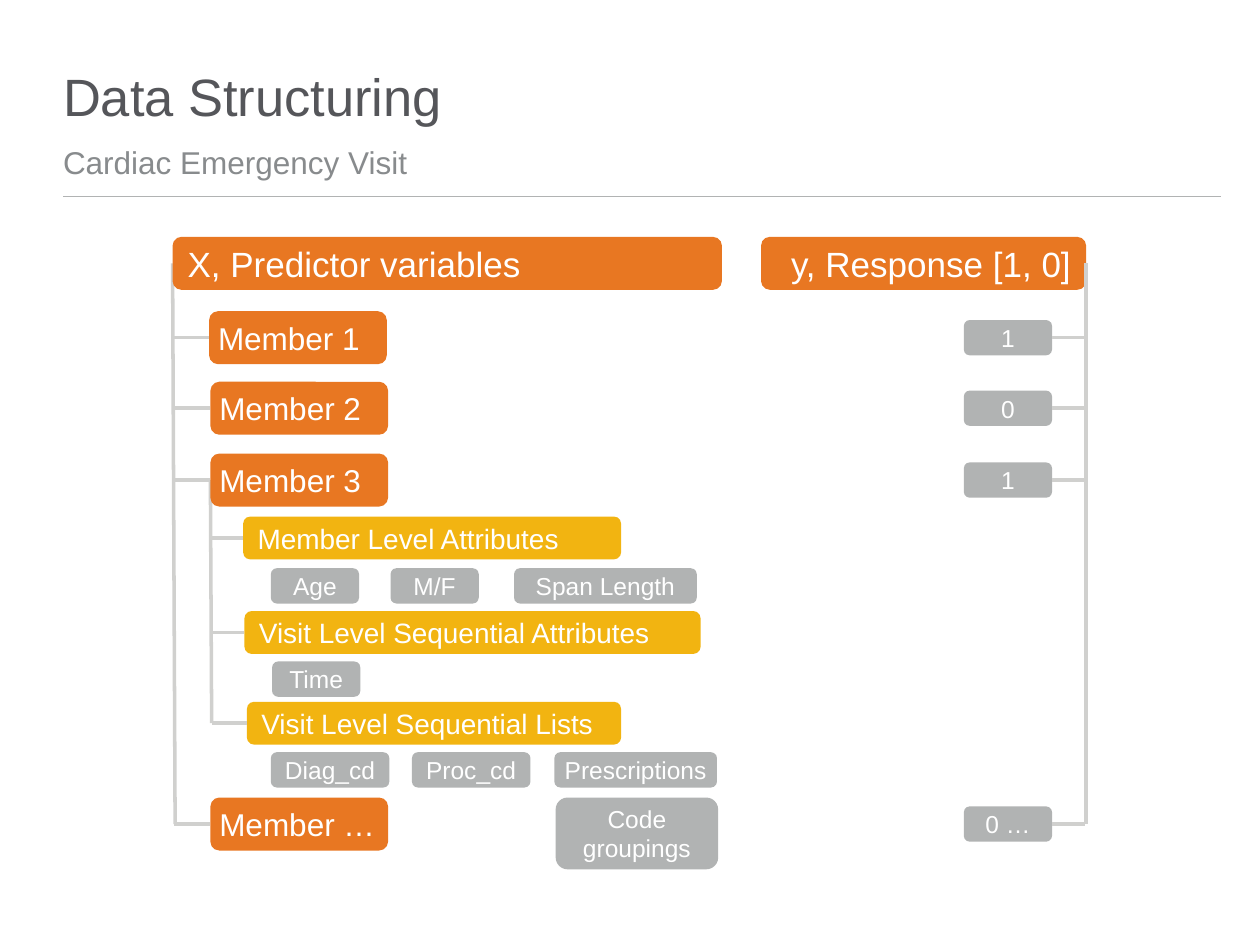
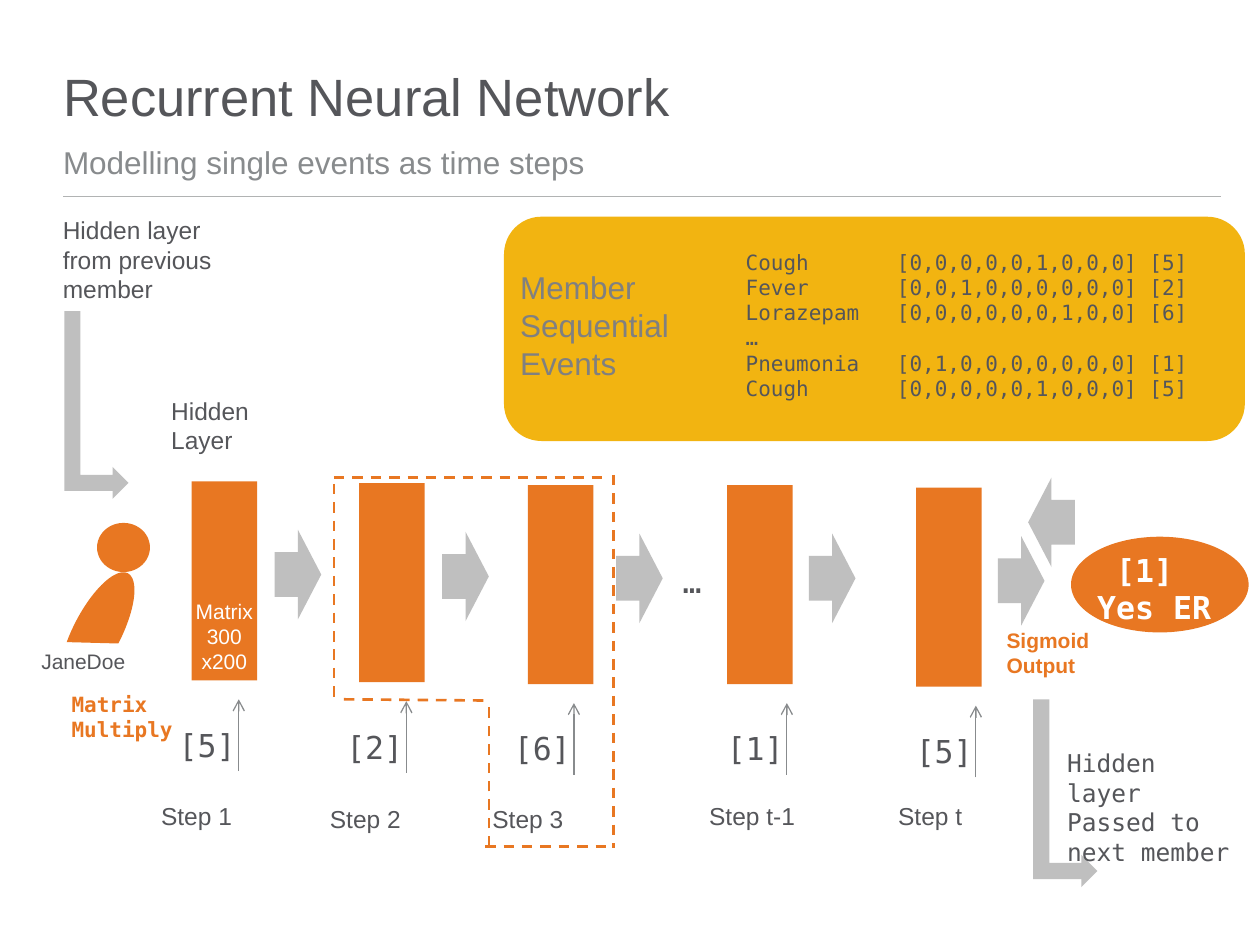
from dataclasses import dataclass
from typing import NamedTuple

from lxml.etree import SubElement
from pptx import Presentation
from pptx.dml.color import RGBColor
from pptx.enum.dml import MSO_LINE
from pptx.enum.shapes import MSO_CONNECTOR, MSO_SHAPE
from pptx.enum.text import MSO_ANCHOR, MSO_AUTO_SIZE, PP_ALIGN
from pptx.oxml.ns import qn
from pptx.util import Emu, Inches, Pt

SLIDE_W, SLIDE_H = Inches(10), Inches(7.5)
COLUMNS, ROWS = 100, 75
ORANGE, YELLOW, WHITE = "E87722", "F2B411", "FFFFFF"
DARK, MID, GREY = "55565A", "888B8D", "B1B3B3"
BRANCH, ARROW, CAPTION = "D0D0CE", "BFBFBF", "808080"
SANS, MONO = "Arial", "DejaVu Sans Mono"
LEFT_SIDE, RIGHT_SIDE = 1, 3


class Area(NamedTuple):
    left: float
    top: float
    width: float
    height: float


class Point(NamedTuple):
    x: float
    y: float


@dataclass(frozen=True)
class Type:
    size: float
    colour: str = DARK
    font: str = SANS
    bold: bool = False
    align: PP_ALIGN = PP_ALIGN.LEFT


@dataclass(frozen=True)
class Block:
    fill: str
    type: Type
    pad_x: float = 1
    pad_y: float = 0.5
    anchor: MSO_ANCHOR = MSO_ANCHOR.MIDDLE


@dataclass(frozen=True)
class Stroke:
    colour: str
    width: float
    dashed: bool = False
    arrow: bool = False


@dataclass(frozen=True)
class Step:
    label: str
    code: str
    left: float
    top: float
    code_left: float
    label_left: float
    label_top: float
    next_left: float


TITLE, SUBTITLE = Type(30), Type(18, MID)
PREDICTORS = Block(ORANGE, Type(20, WHITE))
RESPONSE = Block(ORANGE, Type(20, WHITE, align=PP_ALIGN.RIGHT))
MEMBER = Block(ORANGE, Type(18, WHITE), 0.5)
LEVEL = Block(YELLOW, Type(16, WHITE))
CHIP = Block(GREY, Type(14, WHITE, align=PP_ALIGN.CENTER), 0.1)
MATRIX = Block(ORANGE, Type(12, WHITE, align=PP_ALIGN.CENTER), 0.1, anchor=MSO_ANCHOR.BOTTOM)
NOTE, CODE = Type(14), Type(18, font=MONO)
RULE, TREE = Stroke(GREY, 1), Stroke(BRANCH, 2)
FEED, FOCUS = Stroke(MID, 0.75, arrow=True), Stroke(ORANGE, 1.5, dashed=True)


def col(n: float) -> Emu:
    return Emu(round(SLIDE_W * n / COLUMNS))


def row(n: float) -> Emu:
    return Emu(round(SLIDE_H * n / ROWS))


def frame(area: Area) -> tuple:
    return col(area.left), row(area.top), col(area.width), row(area.height)


def rgb(colour: str) -> RGBColor:
    return RGBColor.from_string(colour)


def write(text_frame, lines: list[str], style: Type, pad_x: float = 1, pad_y: float = 0.5,
          anchor: MSO_ANCHOR = MSO_ANCHOR.TOP) -> list:
    text_frame.word_wrap = True
    text_frame.auto_size = MSO_AUTO_SIZE.NONE
    text_frame.vertical_anchor = anchor
    text_frame.margin_left = text_frame.margin_right = col(pad_x)
    text_frame.margin_top = text_frame.margin_bottom = row(pad_y)
    for index, line in enumerate(lines):
        paragraph = text_frame.add_paragraph() if index else text_frame.paragraphs[0]
        paragraph.alignment = style.align
        run = paragraph.add_run()
        run.text = line
        run.font.size, run.font.name, run.font.bold = Pt(style.size), style.font, style.bold
        run.font.color.rgb = rgb(style.colour)
    return list(text_frame.paragraphs)


def label(slide, area: Area, lines: list[str], style: Type) -> list:
    return write(slide.shapes.add_textbox(*frame(area)).text_frame, lines, style)


def solid(slide, preset: MSO_SHAPE, area: Area, fill: str, rotation: float = 0):
    shape = slide.shapes.add_shape(preset, *frame(area))
    shape.shadow.inherit = False
    shape.fill.solid()
    shape.fill.fore_color.rgb = rgb(fill)
    shape.line.fill.background()
    shape.rotation = rotation
    return shape


def block(slide, area: Area, lines: list[str], style: Block,
          preset: MSO_SHAPE = MSO_SHAPE.ROUNDED_RECTANGLE):
    shape = solid(slide, preset, area, style.fill)
    write(shape.text_frame, lines, style.type, style.pad_x, style.pad_y, style.anchor)
    return shape


def line(slide, start: Point, end: Point, stroke: Stroke):
    connector = slide.shapes.add_connector(
        MSO_CONNECTOR.STRAIGHT, col(start.x), row(start.y), col(end.x), row(end.y))
    connector.line.width = Pt(stroke.width)
    connector.line.color.rgb = rgb(stroke.colour)
    if stroke.dashed:
        connector.line.dash_style = MSO_LINE.DASH
    properties = connector._element.spPr
    if stroke.arrow:
        SubElement(properties.find(qn("a:ln")), qn("a:tailEnd"), type="arrow")
    SubElement(properties, qn("a:effectLst"))
    return connector


def branch(slide, owner, side: int, end: Point, behind: bool = False) -> None:
    connector = line(slide, end, end, TREE)
    connector.begin_connect(owner, side)
    if behind:
        owner._element.addprevious(connector._element)


def tick(slide, owner, side: int, spine: float) -> None:
    middle = (owner.top + owner.height / 2) / SLIDE_H * ROWS
    branch(slide, owner, side, Point(spine, middle))


def new_slide(deck, title: str, subtitle: str):
    slide = deck.slides.add_slide(deck.slide_layouts[1])
    heading, subheading = slide.placeholders
    for holder, area, text, style in (
        (heading, Area(5, 3.3, 91.8, 6.8), title, TITLE),
        (subheading, Area(5, 10, 91.9, 4.4), subtitle, SUBTITLE),
    ):
        holder.left, holder.top, holder.width, holder.height = frame(area)
        paragraph = write(holder.text_frame, [text], style, 0, 0, MSO_ANCHOR.BOTTOM)[0]
    paragraph.line_spacing = 0.95
    paragraph.space_before, paragraph.space_after = Pt(24), Pt(6)
    bullet = paragraph._p.get_or_add_pPr()
    bullet.set("marL", "0")
    bullet.set("indent", "0")
    SubElement(bullet, qn("a:buNone"))
    line(slide, Point(5, 15.6), Point(96.9, 15.6), RULE)
    return slide


def data_structuring(deck) -> None:
    slide = new_slide(deck, "Data Structuring", "Cardiac Emergency Visit")
    predictors = block(slide, Area(13.7, 18.8, 43.6, 4.2), ["X, Predictor variables"], PREDICTORS)
    branch(slide, predictors, LEFT_SIDE, Point(13.9, 65.4), behind=True)
    response = block(slide, Area(60.4, 18.8, 25.8, 4.2), ["y, Response [1, 0]"], RESPONSE)
    branch(slide, response, RIGHT_SIDE, Point(86.2, 65.4))

    members = {}
    for name, left, top, outcome in (
        ("Member 1", 16.6, 24.7, "1"),
        ("Member 2", 16.7, 30.3, "0"),
        ("Member 3", 16.7, 36, "1"),
        ("Member …", 16.7, 63.3, "0 …"),
    ):
        members[name] = block(slide, Area(left, top, 14.1, 4.2), [name], MEMBER)
        tick(slide, members[name], LEFT_SIDE, 13.8)
        result = block(slide, Area(76.5, top + 0.7, 7, 2.8), [outcome], CHIP)
        tick(slide, result, RIGHT_SIDE, 86.1)
    branch(slide, members["Member 3"], LEFT_SIDE, Point(16.8, 57.4), behind=True)

    for name, left, top, width in (
        ("Member Level Attributes", 19.3, 41, 30),
        ("Visit Level Sequential Attributes", 19.4, 48.5, 36.2),
        ("Visit Level Sequential Lists", 19.6, 55.7, 29.7),
    ):
        level = block(slide, Area(left, top, width, 3.4), [name], LEVEL)
        tick(slide, level, LEFT_SIDE, 16.8)

    for name, left, top, width, height in (
        ("Age", 21.5, 45.1, 7, 2.8),
        ("M/F", 31, 45.1, 7, 2.8),
        ("Span Length", 40.8, 45.1, 14.5, 2.8),
        ("Time", 21.6, 52.5, 7, 2.8),
        ("Diag_cd", 21.5, 59.7, 9.4, 2.8),
        ("Proc_cd", 32.7, 59.7, 9.4, 2.8),
        ("Prescriptions", 44, 59.7, 12.9, 2.8),
        ("Code groupings", 44.1, 63.3, 12.9, 5.7),
    ):
        block(slide, Area(left, top, width, height), [name], CHIP)


def draw_step(slide, step: Step, matrix: list[str]) -> None:
    block(slide, Area(step.left, step.top, 5.2, 15.8), matrix, MATRIX, MSO_SHAPE.RECTANGLE)
    label(slide, Area(step.code_left, step.top + 18.9, 7, 4), [step.code], CODE)
    feed_x = step.code_left + 5.75
    line(slide, Point(feed_x, step.top + 23), Point(feed_x, step.top + 17.3), FEED)
    solid(slide, MSO_SHAPE.RIGHT_ARROW, Area(step.next_left, step.top + 3.85, 3.7, 7.1), ARROW)
    label(slide, Area(step.label_left, step.label_top, 9, 3.4), [step.label], NOTE)


def recurrent_network(deck) -> None:
    slide = new_slide(deck, "Recurrent Neural Network", "Modelling single events as time steps")
    solid(slide, MSO_SHAPE.OVAL, Area(85, 42.6, 14.1, 7.6), ORANGE)
    for index, step in enumerate((
        Step("Step 1", "[5]", 15.2, 38.2, 13.2, 11.8, 63.1, 21.8),
        Step("Step 2", "[2]", 28.5, 38.35, 26.5, 25.2, 63.3, 35.1),
        Step("Step 3", "[6]", 41.9, 38.5, 39.8, 38.1, 63.3, 48.9),
        Step("Step t-1", "[1]", 57.7, 38.5, 56.7, 55.3, 63.1, 64.2),
        Step("Step t", "[5]", 72.7, 38.7, 71.7, 70.3, 63.1, 79.2),
    )):
        draw_step(slide, step, [] if index else ["Matrix", "300", "x200"])
    label(slide, Area(53.2, 44.1, 4, 4), ["…"], CODE)

    solid(slide, MSO_SHAPE.FLOWCHART_CONNECTOR, Area(7.7, 41.5, 4.2, 3.9), ORANGE)
    solid(slide, MSO_SHAPE.CHORD, Area(2.4, 48.3, 10.6, 3.8), ORANGE, 117.4)
    for carry in (Area(0.2, 29.6, 14.9, 5.1), Area(77.1, 60.4, 14.9, 5.1)):
        solid(slide, MSO_SHAPE.BENT_UP_ARROW, carry, ARROW, 90)
    solid(slide, MSO_SHAPE.RIGHT_ARROW, Area(81.6, 37.9, 3.7, 7.1), ARROW, 180)

    for start, end in (
        (Point(26.5, 37.9), Point(48.4, 37.9)),
        (Point(38.5, 67.2), Point(48.7, 67.2)),
        (Point(38.8, 67.2), Point(38.8, 55.7)),
        (Point(27.3, 55.5), Point(38.8, 55.6)),
        (Point(26.5, 38.4), Point(26.5, 55.6)),
        (Point(48.7, 37.7), Point(48.7, 67.3)),
    ):
        line(slide, start, end, FOCUS)

    for area, lines, style in (
        (Area(4.7, 54.4, 10.4, 5), ["Matrix", "Multiply"], Type(12, ORANGE, MONO, True)),
        (Area(83.7, 58.9, 15.9, 8.1), ["Hidden layer", "Passed to next member"], Type(14, font=MONO)),
        (Area(12.6, 30.9, 8.8, 5.7), ["Hidden", "Layer"], NOTE),
        (Area(4, 16.6, 21, 8), ["Hidden layer", "from previous member"], NOTE),
        (Area(2.3, 51, 9, 3), ["JaneDoe"], Type(12)),
        (Area(78.9, 49.3, 9, 5), ["Sigmoid", "Output"], Type(12, ORANGE, bold=True)),
    ):
        label(slide, area, lines, style)
    outcome = label(slide, Area(86.1, 43.2, 11.6, 7.1), ["[1]", "Yes ER"],
                    Type(18, WHITE, MONO, True))
    outcome[0]._p.get_or_add_pPr().set("marL", str(col(1.5)))

    solid(slide, MSO_SHAPE.ROUNDED_RECTANGLE, Area(40, 17.2, 58.8, 17.8), YELLOW)
    events = label(slide, Area(58.2, 19.3, 39.1, 13.1), [
        "Cough\t[0,0,0,0,0,1,0,0,0] [5]",
        "Fever\t[0,0,1,0,0,0,0,0,0] [2]",
        "Lorazepam\t[0,0,0,0,0,0,1,0,0] [6]",
        "…",
        "Pneumonia\t[0,1,0,0,0,0,0,0,0] [1]",
        "Cough\t[0,0,0,0,0,1,0,0,0] [5]",
    ], Type(12, font=MONO))
    for event in events:
        tabs = SubElement(event._p.get_or_add_pPr(), qn("a:tabLst"))
        SubElement(tabs, qn("a:tab"), pos=str(col(12)), algn="l")
    label(slide, Area(40.3, 20.8, 17.5, 10.1), ["Member", "Sequential Events"], Type(18, CAPTION))


def main() -> None:
    deck = Presentation()
    deck.slide_width, deck.slide_height = SLIDE_W, SLIDE_H
    data_structuring(deck)
    recurrent_network(deck)
    deck.save("out.pptx")


if __name__ == "__main__":
    main()
